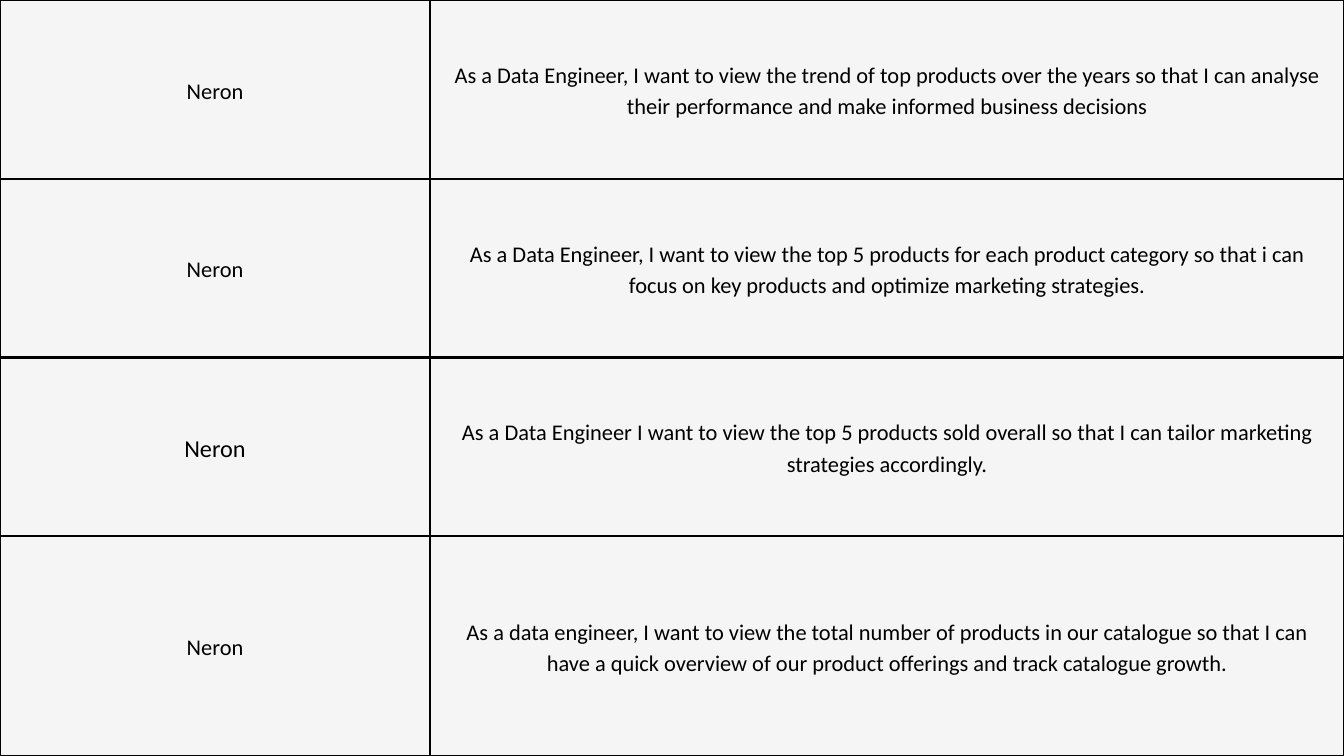
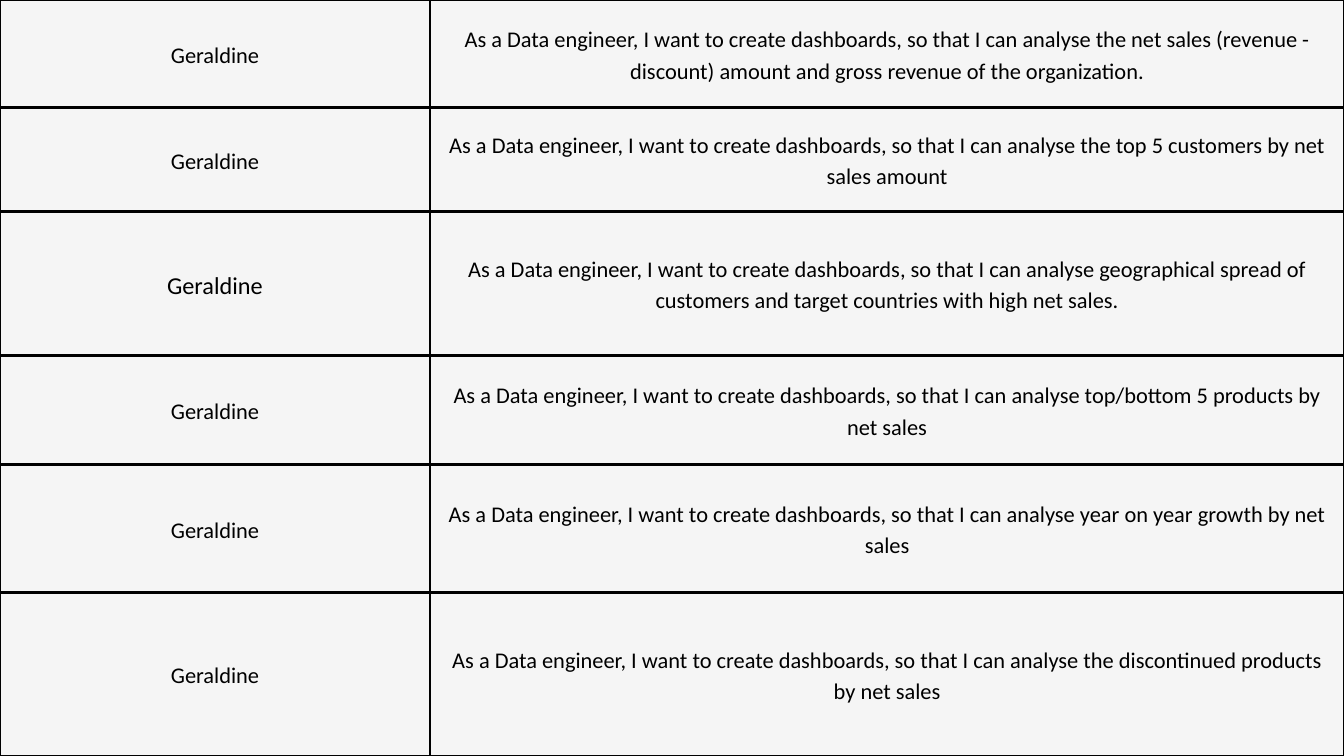
from pptx import Presentation
from pptx.dml.color import RGBColor
from pptx.enum.text import MSO_ANCHOR, PP_ALIGN
from pptx.oxml.ns import qn
from pptx.util import Inches, Pt
from lxml.etree import SubElement

COLORS = {"background": "F5F5F5", "text": "000000", "border": "000000"}
FONT = "Calibri"
SLIDE_WIDTH, SLIDE_HEIGHT = 20, 11.25
NAME_SHARE = 0.32
CELL_MARGIN = 0.21
BORDER_WIDTH = 3
TEXT_SIZE, LARGE_SIZE = 24, 26
LARGE_NAME_ROW = 2
LINE_FACTOR = 1.4
BLANK_LAYOUT = 6

DASHBOARD_GOAL = "As a Data engineer, I want to create dashboards, so that I can analyse "

PRODUCT_STORIES = [
    "As a Data Engineer, I want to view the trend of top products over the years "
    "so that I can analyse their performance and make informed business decisions",
    "As a Data Engineer, I want to view the top 5 products for each product category "
    "so that i can focus on key products and optimize marketing strategies.",
    "As a Data Engineer I want to view the top 5 products sold overall "
    "so that I can tailor marketing strategies accordingly.",
    "As a data engineer, I want to view the total number of products in our catalogue "
    "so that I can have a quick overview of our product offerings and track catalogue growth.",
]
SALES_STORIES = [
    DASHBOARD_GOAL + subject
    for subject in (
        "the net sales (revenue - discount) amount and gross revenue of the organization.",
        "the top 5 customers by net sales amount",
        "geographical spread of customers and target countries with high net sales.",
        "top/bottom 5 products by net sales",
        "year on year growth by net sales",
        "the discontinued products by net sales",
    )
]
STORY_SLIDES = [
    ("Neron", PRODUCT_STORIES, [2.66, 2.66, 2.66, 3.27]),
    ("Geraldine", SALES_STORIES, [1.6, 1.55, 2.14, 1.62, 1.91, 2.43]),
]


def add_borders(cell):
    """Draw a solid line on the four sides of a cell."""
    properties = cell._tc.get_or_add_tcPr()
    for side in ("a:lnL", "a:lnR", "a:lnT", "a:lnB"):
        line = SubElement(properties, qn(side), w=str(Pt(BORDER_WIDTH)))
        fill = SubElement(line, qn("a:solidFill"))
        SubElement(fill, qn("a:srgbClr"), val=COLORS["border"])


def fill_cell(cell, text, size):
    """Write centred text in a bordered cell without fill."""
    add_borders(cell)
    cell.fill.background()
    cell.vertical_anchor = MSO_ANCHOR.MIDDLE
    cell.margin_left = cell.margin_right = Inches(CELL_MARGIN)
    cell.margin_top = cell.margin_bottom = Inches(CELL_MARGIN)
    cell.text_frame.text = text
    paragraph = cell.text_frame.paragraphs[0]
    paragraph.alignment = PP_ALIGN.CENTER
    paragraph.line_spacing = Pt(size * LINE_FACTOR)
    font = paragraph.runs[0].font
    font.name = FONT
    font.size = Pt(size)
    font.color.rgb = RGBColor.from_string(COLORS["text"])


def add_story_slide(presentation, owner, stories, row_heights):
    """Add a slide filled by a table of an owner's user stories."""
    slide = presentation.slides.add_slide(presentation.slide_layouts[BLANK_LAYOUT])
    width, height = presentation.slide_width, presentation.slide_height
    table = slide.shapes.add_table(len(stories), 2, 0, 0, width, height).table
    table.first_row = table.horz_banding = False
    for column, share in zip(table.columns, (NAME_SHARE, 1 - NAME_SHARE)):
        column.width = round(width * share)
    for index, (story, row_height) in enumerate(zip(stories, row_heights)):
        table.rows[index].height = Inches(row_height)
        name_size = LARGE_SIZE if index == LARGE_NAME_ROW else TEXT_SIZE
        fill_cell(table.cell(index, 0), owner, name_size)
        fill_cell(table.cell(index, 1), story, TEXT_SIZE)


def main():
    """Build the user story slides and save them."""
    presentation = Presentation()
    presentation.slide_width = Inches(SLIDE_WIDTH)
    presentation.slide_height = Inches(SLIDE_HEIGHT)
    background = presentation.slide_master.background.fill
    background.solid()
    background.fore_color.rgb = RGBColor.from_string(COLORS["background"])
    for owner, stories, row_heights in STORY_SLIDES:
        add_story_slide(presentation, owner, stories, row_heights)
    presentation.save("out.pptx")


if __name__ == "__main__":
    main()
